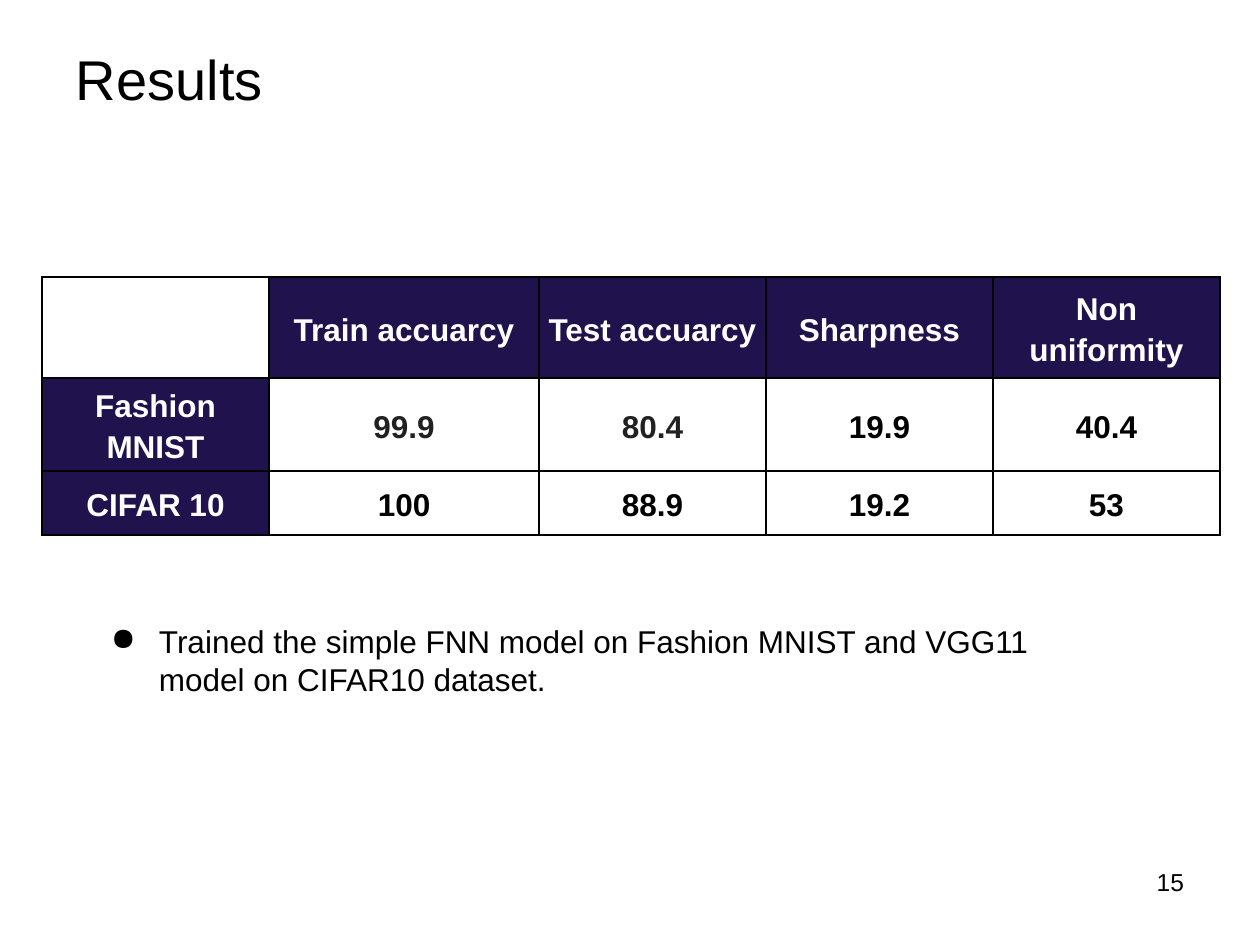
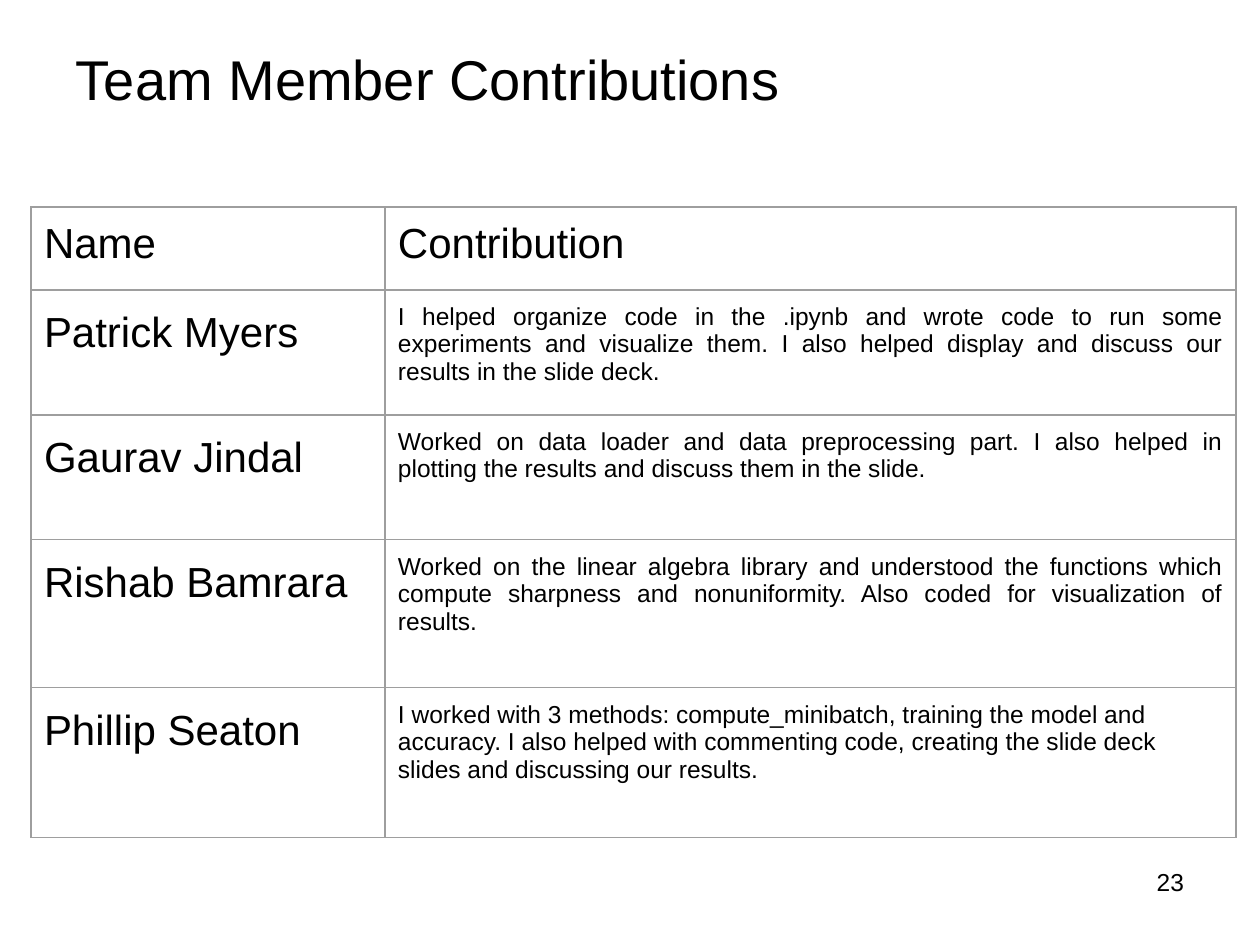
from dataclasses import dataclass

from lxml.etree import SubElement
from pptx import Presentation
from pptx.dml.color import RGBColor
from pptx.enum.text import MSO_ANCHOR as Anchor, PP_ALIGN as Align
from pptx.oxml.ns import qn
from pptx.util import Emu, Pt

EMU_PER_PX = 914400 / 126


@dataclass(frozen=True)
class Theme:
    font: str = "Arial"
    ink: str = "000000"
    soft_ink: str = "212121"
    paper: str = "FFFFFF"
    navy: str = "20124D"
    rule: str = "9E9E9E"
    title: int = 32
    heading: int = 24
    body: int = 18
    small: int = 14


THEME = Theme()


def px(length):
    return Emu(round(length * EMU_PER_PX))


def apply(target, values):
    for name, value in values.items():
        setattr(target, name, value)


def margins(side, top):
    return dict(margin_left=px(side), margin_right=px(side),
                margin_top=px(top), margin_bottom=px(top))


class Deck:
    """Holds the theme and current slide, and draws each kind of element."""

    def __init__(self, theme):
        self.theme = theme
        self.deck = Presentation()
        apply(self.deck, dict(slide_width=px(1260), slide_height=px(945)))
        self.slide = None

    def new_slide(self, title, height, number):
        self.slide = self.deck.slides.add_slide(self.deck.slide_layouts[6])
        self.text(title, (63, 38, 1134, height), self.theme.title,
                  space_before=Pt(3.6))
        self.text(number, (903, 861, 294, 65), self.theme.small,
                  alignment=Align.RIGHT)

    def fill_text(self, frame, words, size, color=None, bold=False, **layout):
        paragraph = frame.paragraphs[0]
        apply(paragraph, layout)
        run = paragraph.add_run()
        run.text = words
        apply(run.font, dict(name=self.theme.font, size=Pt(size), bold=bold))
        run.font.color.rgb = RGBColor.from_string(color or self.theme.ink)
        return paragraph

    def text(self, words, box, size, inset=6, **layout):
        frame = self.slide.shapes.add_textbox(*map(px, box)).text_frame
        apply(frame, dict(word_wrap=True, **margins(13, inset)))
        return self.fill_text(frame, words, size, **layout)

    def bullet(self, words, box, size):
        props = self.text(words, box, size, inset=13)._p.get_or_add_pPr()
        props.set("marL", str(px(63)))
        props.set("indent", str(px(-48)))
        color = SubElement(props, qn("a:buClr"))
        SubElement(color, qn("a:srgbClr"), val=self.theme.ink)
        SubElement(props, qn("a:buChar"), char="●")

    def table(self, corner, widths, heights, rows, border, cell_format):
        box = (*corner, sum(widths), sum(heights))
        grid = self.slide.shapes.add_table(
            len(heights), len(widths), *map(px, box)).table
        apply(grid, dict(first_row=False, horz_banding=False))
        for column, width in zip(grid.columns, widths):
            column.width = px(width)
        for row, height, contents in zip(grid.rows, heights, rows):
            row.height = px(height)
            for cell, content in zip(row.cells, contents):
                self.cell(cell, border, cell_format, **content)

    def cell(self, cell, border, cell_format, words="", fill=None, **style):
        apply(cell, cell_format)
        self.borders(cell, *border)
        if fill:
            cell.fill.solid()
            cell.fill.fore_color.rgb = RGBColor.from_string(fill)
        else:
            cell.fill.background()
        if words:
            self.fill_text(cell.text_frame, words, **style)

    def borders(self, cell, color, width):
        props = cell._tc.get_or_add_tcPr()
        for side in "LRTB":
            line = SubElement(props, qn(f"a:ln{side}"), w=str(Pt(width)))
            solid = SubElement(line, qn("a:solidFill"))
            SubElement(solid, qn("a:srgbClr"), val=color)


def results(deck):
    theme = deck.theme
    deck.new_slide("Results", 147, "15")
    base = dict(size=theme.body, bold=True, alignment=Align.CENTER,
                line_spacing=1.15)
    header = dict(base, color=theme.paper, fill=theme.navy)
    soft = dict(base, color=theme.soft_ink, fill=theme.paper)
    metrics = ["Train accuarcy", "Test accuarcy", "Sharpness",
               "Non uniformity"]
    scores = [
        ("Fashion MNIST", ["99.9", "80.4", "19.9", "40.4"],
         [soft, soft, base, base]),
        ("CIFAR 10", ["100", "88.9", "19.2", "53"], [base] * 4),
    ]
    rows = [[{}] + [dict(header, words=metric) for metric in metrics]]
    for dataset, values, styles in scores:
        rows.append([dict(header, words=dataset)] + [
            dict(style, words=value) for value, style in zip(values, styles)])
    deck.table((42, 277), [227, 270, 227, 227, 227], [101, 92, 64], rows,
               (theme.ink, 1.5),
               dict(vertical_anchor=Anchor.MIDDLE, **margins(4, 3)))
    deck.bullet("Trained the simple FNN model on Fashion MNIST and VGG11 "
                "model on CIFAR10 dataset.", (83, 609, 1037, 132), theme.body)


def contributions(deck):
    theme = deck.theme
    deck.new_slide("Team Member Contributions", 95, "23")
    members = [
        ("Patrick Myers", Align.JUSTIFY,
         "I helped organize code in the .ipynb and wrote code to run some "
         "experiments and visualize them. I also helped display and discuss "
         "our results in the slide deck."),
        ("Gaurav Jindal", Align.JUSTIFY,
         "Worked on data loader and data preprocessing part. I also helped "
         "in plotting the results and discuss them in the slide."),
        ("Rishab Bamrara", Align.JUSTIFY,
         "Worked on the linear algebra library and understood the functions "
         "which compute sharpness and nonuniformity. Also coded for "
         "visualization of results."),
        ("Phillip Seaton", Align.LEFT,
         "I worked with 3 methods: compute_minibatch, training the model and "
         "accuracy. I also helped with commenting code, creating the "
         "slide deck slides and discussing our results."),
    ]
    rows = [[dict(words=label, size=theme.heading)
             for label in ("Name", "Contribution")]]
    for name, alignment, work in members:
        rows.append([
            dict(words=name, size=theme.heading, line_spacing=1.15),
            dict(words=work, size=theme.small, alignment=alignment)])
    deck.table((31, 207), [354, 851], [83, 125, 125, 148, 150], rows,
               (theme.rule, 0.75), margins(13, 13))


def main():
    deck = Deck(THEME)
    results(deck)
    contributions(deck)
    deck.deck.save("out.pptx")


if __name__ == "__main__":
    main()
